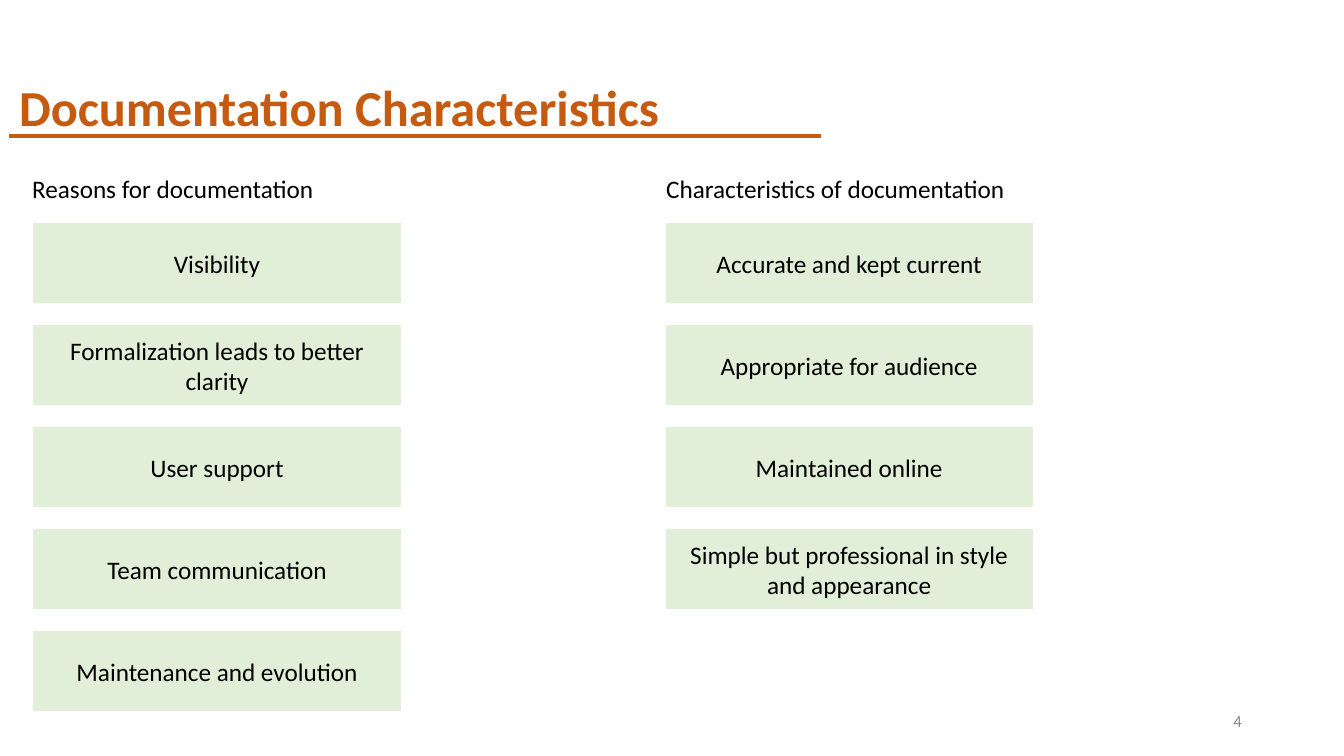
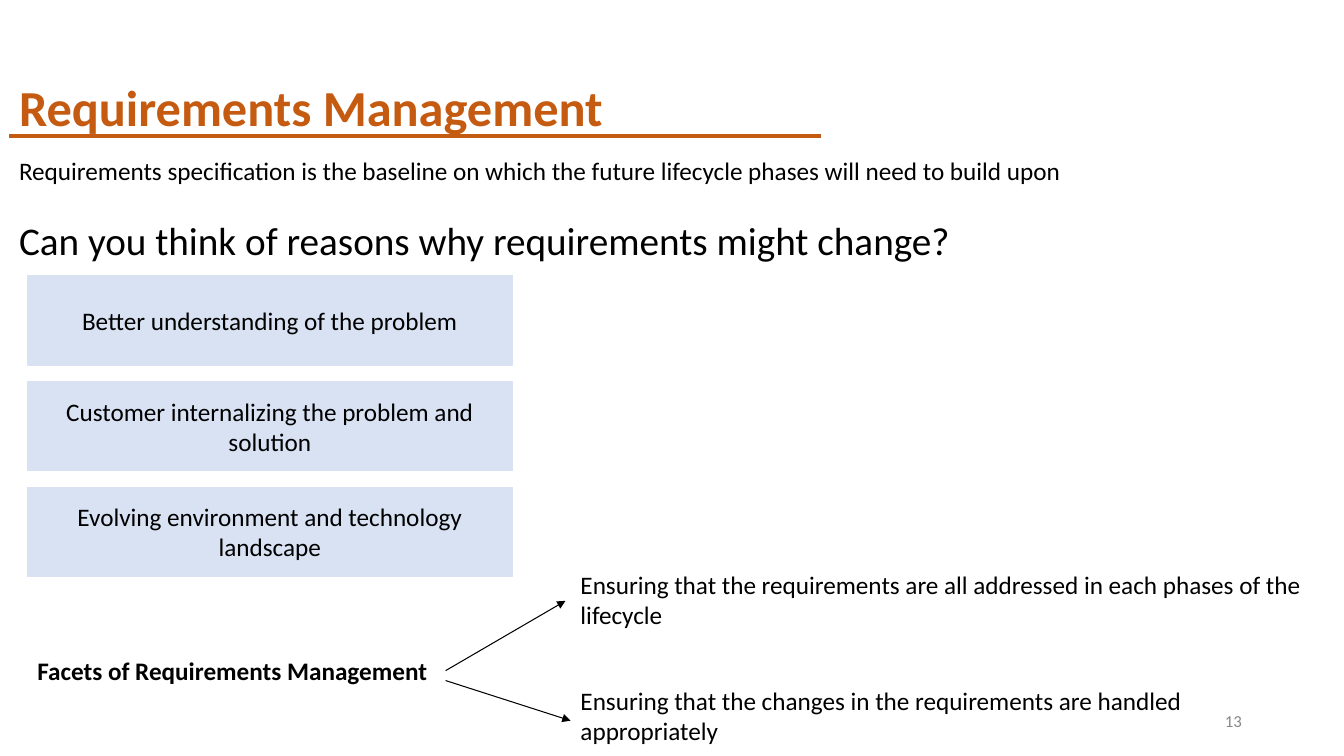
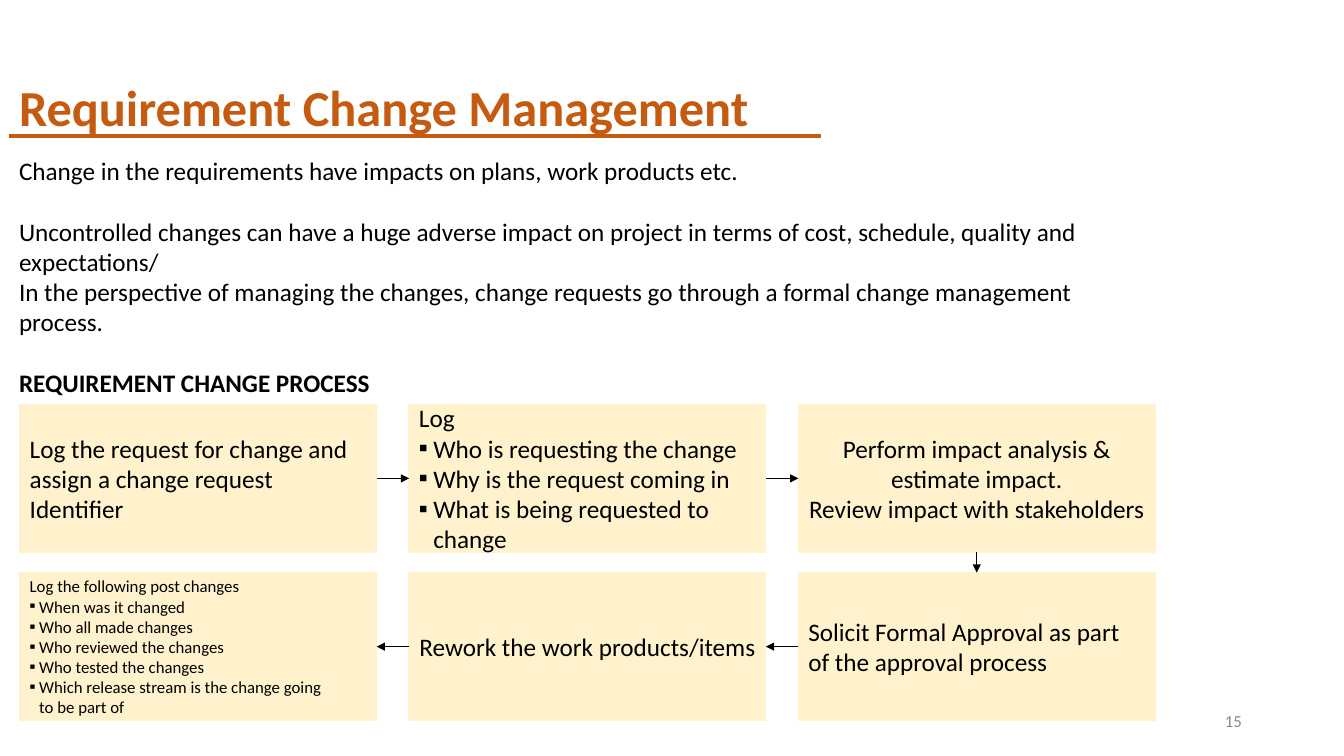
from dataclasses import dataclass

from pptx import Presentation
from pptx.dml.color import RGBColor
from pptx.enum.shapes import MSO_CONNECTOR, MSO_SHAPE
from pptx.enum.text import MSO_ANCHOR, PP_ALIGN
from pptx.oxml.ns import qn
from pptx.util import Cm, Pt
from lxml.etree import SubElement

FONT = "Calibri"
BLACK, ORANGE, GREY = "000000", "C55A11", "888888"
GREEN, BLUE, CREAM = "E1EFD8", "D8E2F3", "FFF2CC"
LEFT, CENTER, RIGHT = PP_ALIGN.LEFT, PP_ALIGN.CENTER, PP_ALIGN.RIGHT
BLANK_LINE = 22


@dataclass
class Line:
    """One paragraph; a newline in its text is a line break, sizes are points."""
    text: str
    size: float = 18
    bold: bool = False
    color: str = BLACK
    before: float = 0
    bullet: bool = False


def rgb(color):
    return RGBColor.from_string(color)


def add_bullet(para, size):
    """Hang a small square in front of the paragraph."""
    properties = para._p.get_or_add_pPr()
    hang = Cm(0.02 * size)
    properties.set("marL", str(hang))
    properties.set("indent", str(-hang))
    SubElement(properties, qn("a:buFont")).set("typeface", FONT)
    SubElement(properties, qn("a:buChar")).set("char", "▪")


def write(frame, lines, align, anchor):
    frame.word_wrap = True
    frame.vertical_anchor = anchor
    for index, line in enumerate(lines):
        para = frame.add_paragraph() if index else frame.paragraphs[0]
        para.alignment = align
        if line.before:
            para.space_before = Pt(line.before)
        if line.bullet:
            add_bullet(para, line.size)
        for part_index, part in enumerate(line.text.split("\n")):
            if part_index:
                para.add_line_break()
            span = para.add_run()
            span.text = part
            span.font.name = FONT
            span.font.size = Pt(line.size)
            span.font.bold = line.bold
            span.font.color.rgb = rgb(line.color)


def add_text(page, left, top, width, height, *lines, align=LEFT, anchor=MSO_ANCHOR.TOP):
    box = page.shapes.add_textbox(Cm(left), Cm(top), Cm(width), Cm(height))
    write(box.text_frame, lines, align, anchor)


def add_panel(page, left, top, width, height, color, *lines, align=CENTER):
    """Add a filled rectangle with text in its middle."""
    panel = page.shapes.add_shape(
        MSO_SHAPE.RECTANGLE, Cm(left), Cm(top), Cm(width), Cm(height))
    panel.shadow.inherit = False
    panel.fill.solid()
    panel.fill.fore_color.rgb = rgb(color)
    panel.line.color.rgb = rgb(color)
    panel.line.width = Pt(1)
    write(panel.text_frame, lines, align, MSO_ANCHOR.MIDDLE)


def add_stack(page, left, top, width, height, pitch, color, labels):
    """Add equal panels below each other."""
    for row, label in enumerate(labels):
        add_panel(page, left, top + row * pitch, width, height, color, Line(label))


def add_line(page, start, end, color=BLACK, weight=0.75, arrow=True):
    connector = page.shapes.add_connector(
        MSO_CONNECTOR.STRAIGHT, *map(Cm, start), *map(Cm, end))
    connector.line.color.rgb = rgb(color)
    connector.line.width = Pt(weight)
    properties = connector.element.spPr
    if arrow:
        SubElement(properties.find(qn("a:ln")), qn("a:tailEnd")).set("type", "triangle")
    SubElement(properties, qn("a:effectLst"))


def add_page(deck, title, number):
    """Add a blank slide with the shared title, rule and page number."""
    page = deck.slides.add_slide(deck.slide_layouts[6])
    add_text(page, 0.23, 1.8, 19.08, 1.27, Line(title, 36, True, ORANGE))
    add_line(page, (0.23, 3.43), (20.68, 3.43), ORANGE, 3, arrow=False)
    add_text(page, 23.93, 17.65, 7.62, 1.02, Line(str(number), 12, color=GREY),
             align=RIGHT, anchor=MSO_ANCHOR.MIDDLE)
    return page


def build_characteristics(deck):
    page = add_page(deck, "Documentation Characteristics", 4)
    columns = [
        (0.56, 0.86, "Reasons for documentation",
         ["Visibility", "Formalization leads to better clarity", "User support",
          "Team communication", "Maintenance and evolution"]),
        (16.54, 16.79, "Characteristics of documentation",
         ["Accurate and kept current", "Appropriate for audience", "Maintained online",
          "Simple but professional in style and appearance"]),
    ]
    for heading_left, left, heading, labels in columns:
        add_text(page, heading_left, 4.24, 14, 1.02, Line(heading))
        add_stack(page, left, 5.64, 9.22, 1.98, 2.57, GREEN, labels)


def build_management(deck):
    page = add_page(deck, "Requirements Management", 13)
    add_text(page, 0.23, 3.78, 30.68, 3,
             Line("Requirements specification is the baseline on which the future "
                  "lifecycle phases will need to build upon"),
             Line("Can you think of reasons why requirements might change?", 28,
                  before=BLANK_LINE))
    add_stack(page, 0.69, 6.96, 12.22, 2.24, 2.66, BLUE,
              ["Better understanding of the problem",
               "Customer internalizing the problem and solution",
               "Evolving environment and technology landscape"])
    add_text(page, 0.69, 16.38, 11, 1.02,
             Line("Facets of Requirements Management", bold=True))
    add_line(page, (11.23, 16.9), (14.25, 15.14))
    add_line(page, (11.23, 17.15), (14.38, 18.16))
    add_text(page, 14.38, 14.22, 18.9, 1.8,
             Line("Ensuring that the requirements are all addressed in each phases "
                  "of the lifecycle"))
    add_text(page, 14.38, 17.15, 16.94, 1.8,
             Line("Ensuring that the changes in the requirements are handled "
                  "appropriately"))


def build_change_process(deck):
    page = add_page(deck, "Requirement Change Management", 15)
    add_text(page, 0.23, 3.78, 28.42, 6.4,
             Line("Change in the requirements have impacts on plans, work products etc."),
             Line("Uncontrolled changes can have a huge adverse impact on project in "
                  "terms of cost, schedule, quality and expectations/", before=BLANK_LINE),
             Line("In the perspective of managing the changes, change requests go "
                  "through a formal change management process."),
             Line("REQUIREMENT CHANGE PROCESS", bold=True, before=BLANK_LINE))

    width, height = 8.99, 3.73
    lefts = [0.5 + 9.81 * column for column in range(3)]
    tops = [10.19, 14.43]
    questions = ["Who is requesting the change", "Why is the request coming in",
                 "What is being requested to change"]
    records = ["When was it changed", "Who all made changes", "Who reviewed the changes",
               "Who tested the changes",
               "Which release stream is the change going\nto be part of"]
    steps = [
        (0, 0, LEFT, [Line("Log the request for change and assign a change request "
                           "Identifier")]),
        (1, 0, LEFT, [Line("Log"), *(Line(text, bullet=True) for text in questions)]),
        (2, 0, CENTER, [Line("Perform impact analysis & estimate impact."),
                        Line("Review impact with stakeholders")]),
        (2, 1, LEFT, [Line("Solicit Formal Approval as part of the approval process")]),
        (1, 1, CENTER, [Line("Rework the work products/items")]),
        (0, 1, LEFT, [Line("Log the following post changes", 12),
                      *(Line(text, 12, bullet=True) for text in records)]),
    ]
    for column, row, align, lines in steps:
        add_panel(page, lefts[column], tops[row], width, height, CREAM, *lines, align=align)

    upper, lower = (top + height / 2 for top in tops)
    for left, next_left in zip(lefts, lefts[1:]):
        add_line(page, (left + width, upper), (next_left, upper))
        add_line(page, (next_left, lower), (left + width, lower))
    middle = lefts[2] + width / 2
    add_line(page, (middle, tops[0] + height), (middle, tops[1]))


def main():
    deck = Presentation()
    deck.slide_width, deck.slide_height = Cm(33.87), Cm(19.05)
    build_characteristics(deck)
    build_management(deck)
    build_change_process(deck)
    deck.save("out.pptx")


if __name__ == "__main__":
    main()
